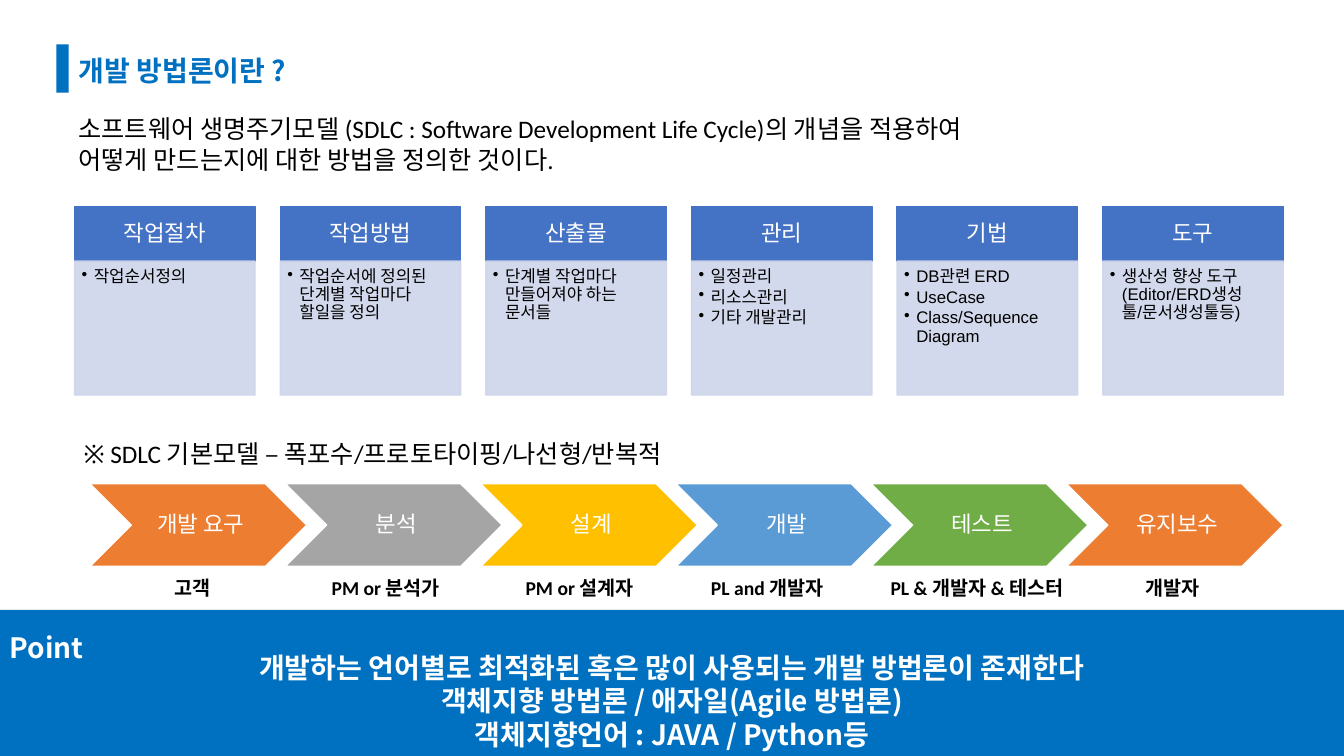
from copy import deepcopy

from lxml import etree
from pptx import Presentation
from pptx.dml.color import RGBColor
from pptx.enum.shapes import MSO_SHAPE
from pptx.enum.text import MSO_ANCHOR, PP_ALIGN
from pptx.oxml.ns import qn
from pptx.util import Inches, Pt

RECT, CHEVRON = MSO_SHAPE.RECTANGLE, MSO_SHAPE.CHEVRON
TOP, MIDDLE, BOTTOM = MSO_ANCHOR.TOP, MSO_ANCHOR.MIDDLE, MSO_ANCHOR.BOTTOM
LEFT, CENTER = PP_ALIGN.LEFT, PP_ALIGN.CENTER

BLUE = RGBColor(0x00, 0x70, 0xC0)
CARD_BLUE = RGBColor(0x44, 0x72, 0xC4)
CARD_PALE = RGBColor(0xCF, 0xD5, 0xEA)
ORANGE = RGBColor(0xED, 0x7D, 0x31)
GRAY = RGBColor(0xA5, 0xA5, 0xA5)
YELLOW = RGBColor(0xFF, 0xC0, 0x00)
SKY = RGBColor(0x5B, 0x9B, 0xD5)
GREEN = RGBColor(0x70, 0xAD, 0x47)
WHITE = RGBColor(0xFF, 0xFF, 0xFF)
BLACK = RGBColor(0x00, 0x00, 0x00)
KOREAN = "Noto Sans CJK KR"

prs = Presentation()
prs.slide_width, prs.slide_height = Inches(13.33), Inches(7.5)
slide = prs.slides.add_slide(prs.slide_layouts[6])


def add_block(at, kind=RECT, fill=BLUE, line=None, opacity=100):
    """Place a preset shape; at is left, top, width, height in slide percent."""
    x, y, w, h = at
    block = slide.shapes.add_shape(
        kind, int(prs.slide_width * x / 100), int(prs.slide_height * y / 100),
        int(prs.slide_width * w / 100), int(prs.slide_height * h / 100))
    block.shadow.inherit = False
    block.fill.solid()
    block.fill.fore_color.rgb = fill
    if line is None:
        block.line.fill.background()
    else:
        block.line.color.rgb = line
        block.line.width = Pt(1)
    if opacity < 100:
        for color in block._element.spPr.iter(qn("a:srgbClr")):
            etree.SubElement(color, qn("a:alpha"), val=str(opacity * 1000))
    return block


def write(paragraphs, at=None, block=None, size=18, font="Calibri", color=BLACK,
          bold=False, align=LEFT, anchor=TOP, insets=(0.1, 0.05, 0.1, 0.05),
          spacing=None, after=0, bullet=False):
    """Write paragraphs in a block, or in a new text box at slide percents."""
    if block is None:
        x, y, w, h = at
        block = slide.shapes.add_textbox(
            int(prs.slide_width * x / 100), int(prs.slide_height * y / 100),
            int(prs.slide_width * w / 100), int(prs.slide_height * h / 100))
    frame = block.text_frame
    frame.word_wrap = True
    frame.vertical_anchor = anchor
    (frame.margin_left, frame.margin_top,
     frame.margin_right, frame.margin_bottom) = map(Inches, insets)
    for i, text in enumerate(paragraphs):
        paragraph = frame.paragraphs[0] if i == 0 else frame.add_paragraph()
        paragraph.text = text
        paragraph.alignment = align
        paragraph.line_spacing = spacing
        paragraph.space_after = Pt(after)
        for run in paragraph.runs:
            run.font.size, run.font.name, run.font.bold = Pt(size), font, bold
            run.font.color.rgb = color
            etree.SubElement(run._r.rPr, qn("a:ea"), typeface=KOREAN)
        # Line breaks take the size of the text around them
        for line_break in paragraph._p.findall(qn("a:br")):
            line_break.append(deepcopy(paragraph.runs[0]._r.rPr))
        if bullet:
            props = paragraph._p.get_or_add_pPr()
            props.set("marL", str(Inches(0.12)))
            props.set("indent", str(Inches(-0.12)))
            etree.SubElement(props, qn("a:buChar"), char="•")


# Title and introduction
add_block((4.2, 5.87, 0.9, 6.4))
write(["개발 방법론이란 ?"], at=(5.1, 5.87, 23.33, 6.4), size=20, font=KOREAN,
      color=BLUE, bold=True, anchor=BOTTOM, spacing=0.9)
write(["소프트웨어 생명주기모델 (SDLC : Software Development Life Cycle)의 개념을 적용하여",
       "어떻게 만드는지에 대한 방법을 정의한 것이다."], at=(5.1, 14.4, 89.4, 9.47))

# Six cards: heading above a bulleted body
cards = [
    ("작업절차", ["작업순서정의"]),
    ("작업방법", ["작업순서에 정의된 단계별 작업마다 \n할일을 정의"]),
    ("산출물", ["단계별 작업마다 \n만들어져야 하는\n문서들"]),
    ("관리", ["일정관리", "리소스관리", "기타 개발관리"]),
    ("기법", ["DB관련 ERD", "UseCase", "Class/Sequence \nDiagram"]),
    ("도구", ["생산성 향상 도구 \n(Editor/ERD생성툴/문서생성툴등)"]),
]
CARD_LEFT, CARD_PITCH, CARD_WIDTH = 5.55, 15.3, 13.43
for column, (heading, points) in enumerate(cards):
    left = CARD_LEFT + column * CARD_PITCH
    head = add_block((left, 27.33, CARD_WIDTH, 7.2), fill=CARD_BLUE, line=CARD_BLUE)
    write([heading], block=head, size=16, color=WHITE, align=CENTER, anchor=MIDDLE,
          insets=(0.12, 0.07, 0.12, 0.07), spacing=0.9)
    body = add_block((left, 34.53, CARD_WIDTH, 17.73), fill=CARD_PALE,
                     line=CARD_PALE, opacity=90)
    write(points, block=body, size=12, font="Arial", insets=(0.07, 0.07, 0.09, 0.1),
          spacing=0.9, after=1.8, bullet=True)

# Life cycle: chevrons with the people in charge below
write(["※ SDLC 기본모델 – 폭포수/프로토타이핑/나선형/반복적"], at=(5.48, 57.33, 70.3, 5.33))
stages = [
    ("개발 요구", ORANGE, "고객", 10.8, 7.05),
    ("분석", GRAY, "PM or 분석가", 23.71, 9.98),
    ("설계", YELLOW, "PM or 설계자", 37.13, 12),
    ("개발", SKY, "PL and 개발자", 51.09, 12),
    ("테스트", GREEN, "PL & 개발자 & 테스터", 63.09, 19.2),
    ("유지보수", ORANGE, "개발자", 82.3, 9.9),
]
STAGE_LEFT, STAGE_PITCH = 6.7, 14.53
for column, (stage, color, people, people_left, people_width) in enumerate(stages):
    arrow = add_block((STAGE_LEFT + column * STAGE_PITCH, 64, 16.13, 10.93),
                      kind=CHEVRON, fill=color, line=WHITE)
    write([stage], block=arrow, size=16, color=WHITE, align=CENTER, anchor=MIDDLE,
          insets=(0.07, 0.02, 0.02, 0.02), spacing=0.9)
    write([people], at=(people_left, 75.47, people_width, 4.53), size=14, bold=True,
          align=CENTER)

# Point band
add_block((0, 80.67, 100, 19.33))
write(["Point"], at=(0, 80.67, 16.8, 7.87), size=20, font=KOREAN, color=WHITE,
      bold=True, anchor=BOTTOM)
write(["개발하는 언어별로 최적화된 혹은 많이 사용되는 개발 방법론이 존재한다",
       "객체지향 방법론 / 애자일(Agile 방법론)",
       "객체지향언어 : JAVA / Python등"], at=(0, 84.53, 100, 15.47), size=20,
      font=KOREAN, color=WHITE, bold=True, align=CENTER, anchor=BOTTOM)

prs.save("out.pptx")
